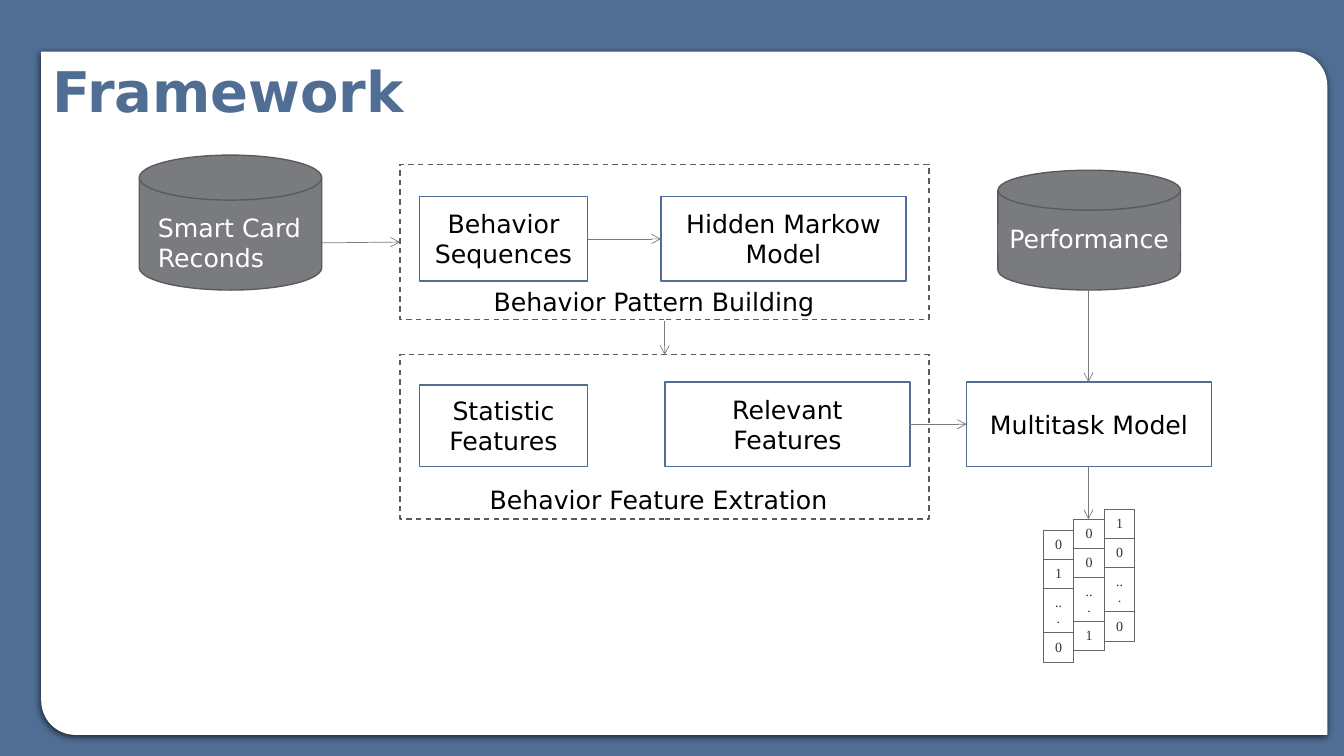
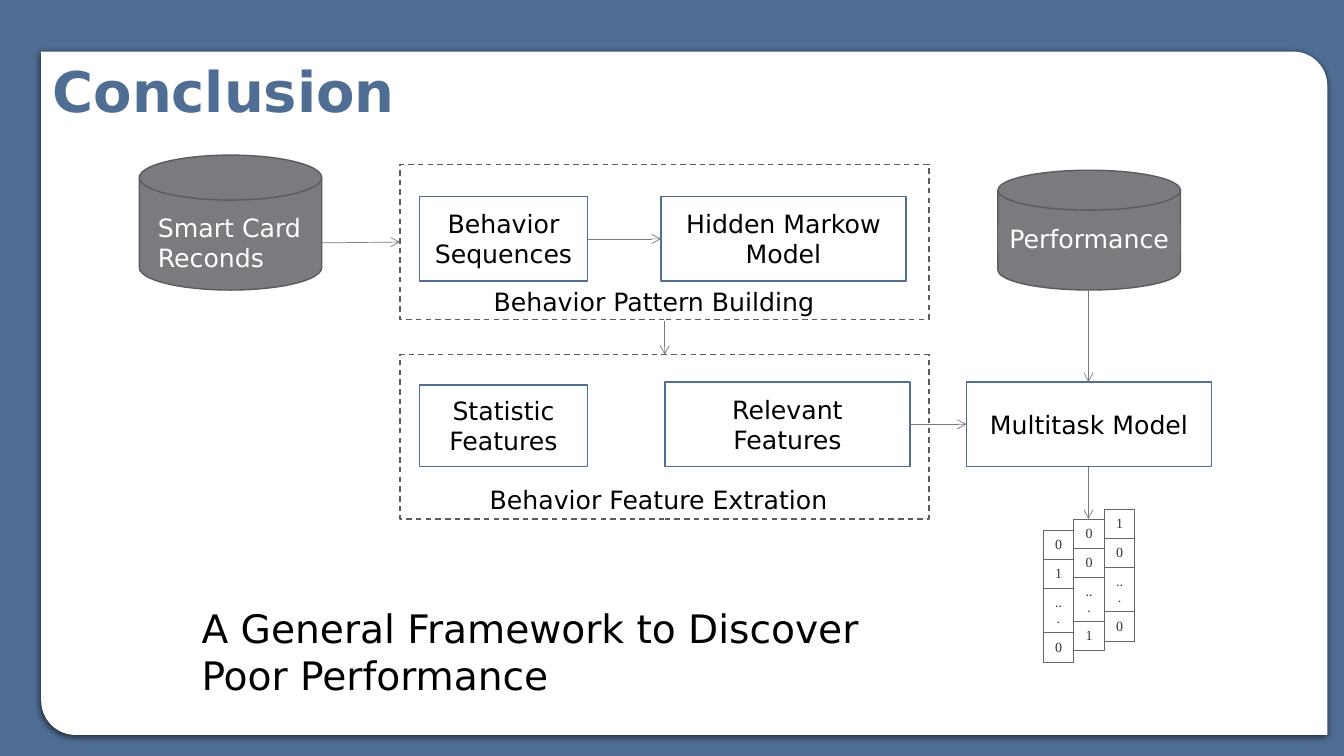
from dataclasses import dataclass
from typing import NamedTuple

from lxml.etree import SubElement
from pptx import Presentation
from pptx.dml.color import RGBColor
from pptx.enum.dml import MSO_LINE_DASH_STYLE as Dash
from pptx.enum.shapes import MSO_CONNECTOR as Connector, MSO_SHAPE as Preset
from pptx.enum.text import MSO_ANCHOR as Anchor, MSO_AUTO_SIZE as AutoSize, PP_ALIGN as Align
from pptx.oxml.ns import qn
from pptx.util import Cm, Pt

BLUE = "506E94"
GREY = "797B7E"
OUTLINE = "5A5B5D"
GRID = "666666"
DIGIT = "323232"
WHITE = "FFFFFF"
BLACK = "000000"
SANS = "DejaVu Sans"
SERIF = "Times New Roman"


class Area(NamedTuple):
    left: float
    top: float
    width: float
    height: float

    def lengths(self) -> list:
        return [Cm(value) for value in self]


class Arrow(NamedTuple):
    start_x: float
    start_y: float
    end_x: float
    end_y: float


class Vector(NamedTuple):
    top: float
    values: str


@dataclass
class Box:
    area: Area
    text: str = ""
    fill: str | None = WHITE
    line: str | None = BLUE
    preset: Preset = Preset.RECTANGLE
    dashed: bool = False
    text_color: str = BLACK


@dataclass
class Label:
    area: Area
    text: str
    color: str = BLACK
    size: int = 18


PANEL = Area(1.04, 1.3, 32.41, 17.22)
TITLE = Area(1.07, 1.3, 14.38, 1.96)
DISK = Preset.FLOWCHART_MAGNETIC_DISK

BOXES = [
    Box(Area(3.51, 3.91, 4.6, 3.4), fill=GREY, line=OUTLINE, preset=DISK),
    Box(Area(25.15, 4.29, 4.6, 3.02), fill=GREY, line=OUTLINE, preset=DISK),
    Box(Area(25.15, 5.66, 4.6, 0.69), "Performance", GREY, None, text_color=WHITE),
    Box(Area(10.08, 4.14, 13.33, 3.91), line=OUTLINE, dashed=True),
    Box(Area(10.08, 8.94, 13.33, 4.14), line=OUTLINE, dashed=True),
    Box(Area(10.57, 4.95, 4.24, 2.13), "Behavior Sequences"),
    Box(Area(16.66, 4.95, 6.17, 2.13), "Hidden Markow Model"),
    Box(Area(10.57, 9.7, 4.24, 2.06), "Statistic Features"),
    Box(Area(16.76, 9.63, 6.17, 2.13), "Relevant Features"),
    Box(Area(24.36, 9.63, 6.17, 2.13), "Multitask Model"),
]

LABELS = [
    Label(Area(3.73, 5.23, 4.37, 1.8), "Smart Card Reconds", WHITE),
    Label(Area(12.19, 7.09, 9.09, 1.02), "Behavior Pattern Building"),
    Label(Area(12.09, 12.07, 9.19, 1.02), "Behavior Feature Extration"),
]

ARROWS = [
    Arrow(8.08, 6.12, 10.08, 6.1),
    Arrow(14.81, 6.02, 16.66, 6.02),
    Arrow(16.75, 8.1, 16.75, 8.94),
    Arrow(22.92, 10.69, 24.36, 10.69),
    Arrow(27.43, 7.32, 27.43, 9.63),
    Arrow(27.43, 11.76, 27.43, 13.08),
]

VECTORS = [
    Vector(13.36, "0 1 ... 0"),
    Vector(13.08, "0 0 ... 1"),
    Vector(12.83, "1 0 ... 0"),
]
VECTOR_LEFT = 26.29
CELL_WIDTH = 0.77
CELL_HEIGHT = 0.74

STATEMENT = Label(
    Area(4.83, 15.11, 17.98, 2.64),
    "A General Framework to Discover Poor Performance",
    size=28,
)


def rgb(color: str) -> RGBColor:
    return RGBColor.from_string(color)


def paint(fill, color: str) -> None:
    fill.solid()
    fill.fore_color.rgb = rgb(color)


def write(paragraph, text: str, size: int, color: str, font: str = SANS, bold: bool = False) -> None:
    run = paragraph.add_run()
    run.text = text
    run.font.name = font
    run.font.size = Pt(size)
    run.font.bold = bold
    run.font.color.rgb = rgb(color)


def draw_box(slide, box: Box):
    shape = slide.shapes.add_shape(box.preset, *box.area.lengths())
    shape.shadow.inherit = False
    paint(shape.fill, box.fill)
    if box.line:
        shape.line.color.rgb = rgb(box.line)
        shape.line.width = Pt(1)
    else:
        shape.line.fill.background()
    if box.dashed:
        shape.line.dash_style = Dash.DASH
    if box.text:
        frame = shape.text_frame
        frame.word_wrap = True
        frame.vertical_anchor = Anchor.MIDDLE
        paragraph = frame.paragraphs[0]
        paragraph.alignment = Align.CENTER
        write(paragraph, box.text, 18, box.text_color)
    return shape


def draw_label(slide, label: Label) -> None:
    frame = slide.shapes.add_textbox(*label.area.lengths()).text_frame
    frame.word_wrap = True
    write(frame.paragraphs[0], label.text, label.size, label.color)


def draw_arrow(slide, arrow: Arrow) -> None:
    ends = [Cm(value) for value in arrow]
    connector = slide.shapes.add_connector(Connector.STRAIGHT, *ends)
    connector.line.color.rgb = rgb(GREY)
    connector.line.width = Pt(0.5)
    SubElement(connector.line._get_or_add_ln(), qn("a:tailEnd"), type="arrow")
    SubElement(connector._element.spPr, qn("a:effectLst"))


def add_borders(cell) -> None:
    properties = cell._tc.get_or_add_tcPr()
    for side in ("a:lnL", "a:lnR", "a:lnT", "a:lnB"):
        border = SubElement(properties, qn(side), w=str(Pt(0.75)))
        fill = SubElement(border, qn("a:solidFill"))
        SubElement(fill, qn("a:srgbClr"), val=GRID)


def draw_vector(slide, vector: Vector, left: float) -> None:
    values = vector.values.split()
    area = Area(left, vector.top, CELL_WIDTH, CELL_HEIGHT * len(values))
    table = slide.shapes.add_table(len(values), 1, *area.lengths()).table
    table.first_row = False
    table.horz_banding = False
    for row, value in enumerate(values):
        cell = table.cell(row, 0)
        add_borders(cell)
        paint(cell.fill, WHITE)
        cell.vertical_anchor = Anchor.MIDDLE
        paragraph = cell.text_frame.paragraphs[0]
        paragraph.alignment = Align.CENTER
        write(paragraph, value, 10, DIGIT, SERIF)


def draw_panel(slide, master) -> None:
    panel = draw_box(slide, Box(PANEL, line=None, preset=Preset.ROUND_2_DIAG_RECTANGLE))
    panel.adjustments[0] = 0
    panel.adjustments[1] = 0.05
    effects = panel._element.spPr.find(qn("a:effectLst"))
    shadow = SubElement(effects, qn("a:outerShdw"), blurRad=str(Pt(4.5)), dist=str(Pt(1.5)),
                        dir="5400000", algn="t", rotWithShape="0")
    color = SubElement(shadow, qn("a:srgbClr"), val=BLACK)
    SubElement(color, qn("a:alpha"), val="63000")
    master.shapes._spTree.insert(2, panel._element)


def add_slide(presentation, title: str):
    slide = presentation.slides.add_slide(presentation.slide_layouts.get_by_name("Title Only"))
    shape = slide.shapes.title
    shape.left, shape.top, shape.width, shape.height = TITLE.lengths()
    frame = shape.text_frame
    frame.word_wrap = True
    frame.auto_size = AutoSize.NONE
    frame.vertical_anchor = Anchor.TOP
    paragraph = frame.paragraphs[0]
    paragraph.alignment = Align.LEFT
    write(paragraph, title, 40, BLUE, bold=True)
    return slide


def draw_framework(slide) -> None:
    for box in BOXES:
        draw_box(slide, box)
    for label in LABELS:
        draw_label(slide, label)
    for arrow in ARROWS:
        draw_arrow(slide, arrow)
    for index, vector in enumerate(VECTORS):
        draw_vector(slide, vector, VECTOR_LEFT + index * CELL_WIDTH)


def main() -> None:
    presentation = Presentation()
    presentation.slide_width = Cm(33.87)
    presentation.slide_height = Cm(19.05)
    master = presentation.slide_master
    paint(master.background.fill, BLUE)

    framework = add_slide(presentation, "Framework")
    draw_panel(framework, master)
    conclusion = add_slide(presentation, "Conclusion")
    for slide in (framework, conclusion):
        draw_framework(slide)
    draw_label(conclusion, STATEMENT)

    presentation.save("out.pptx")


if __name__ == "__main__":
    main()
